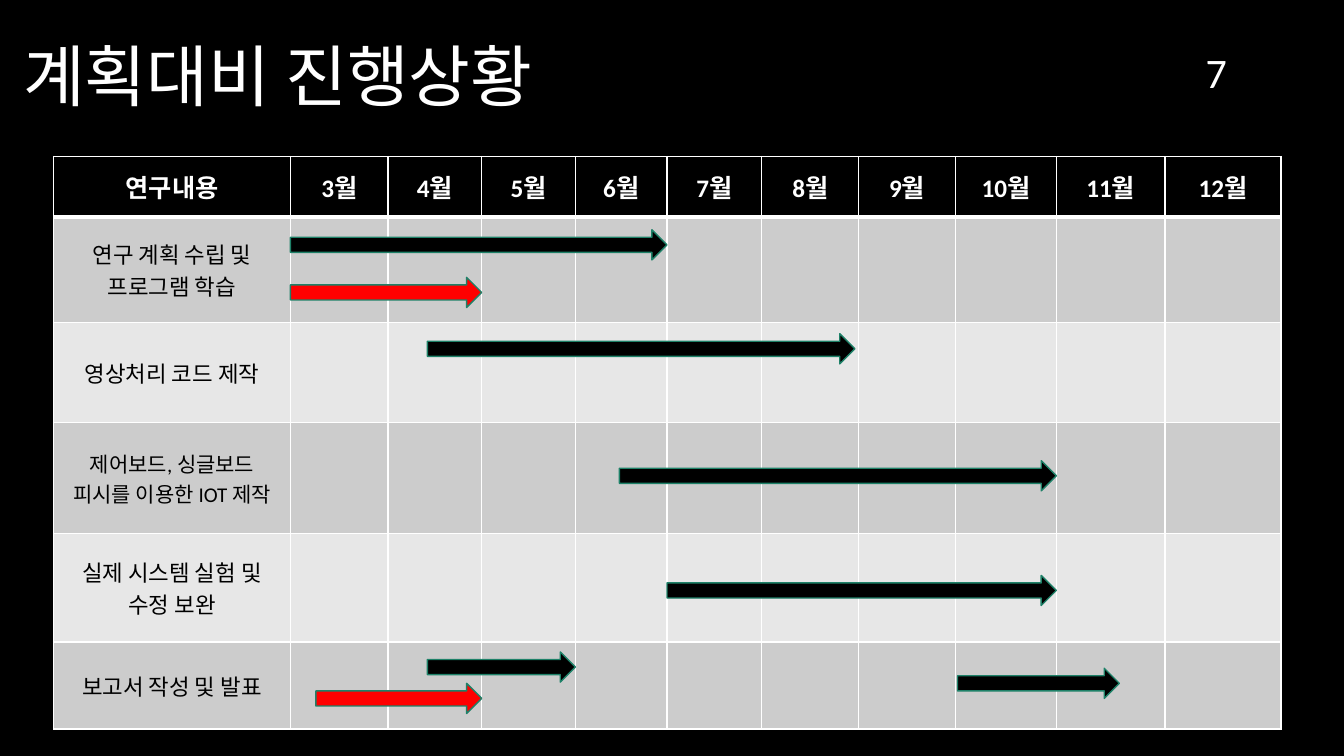
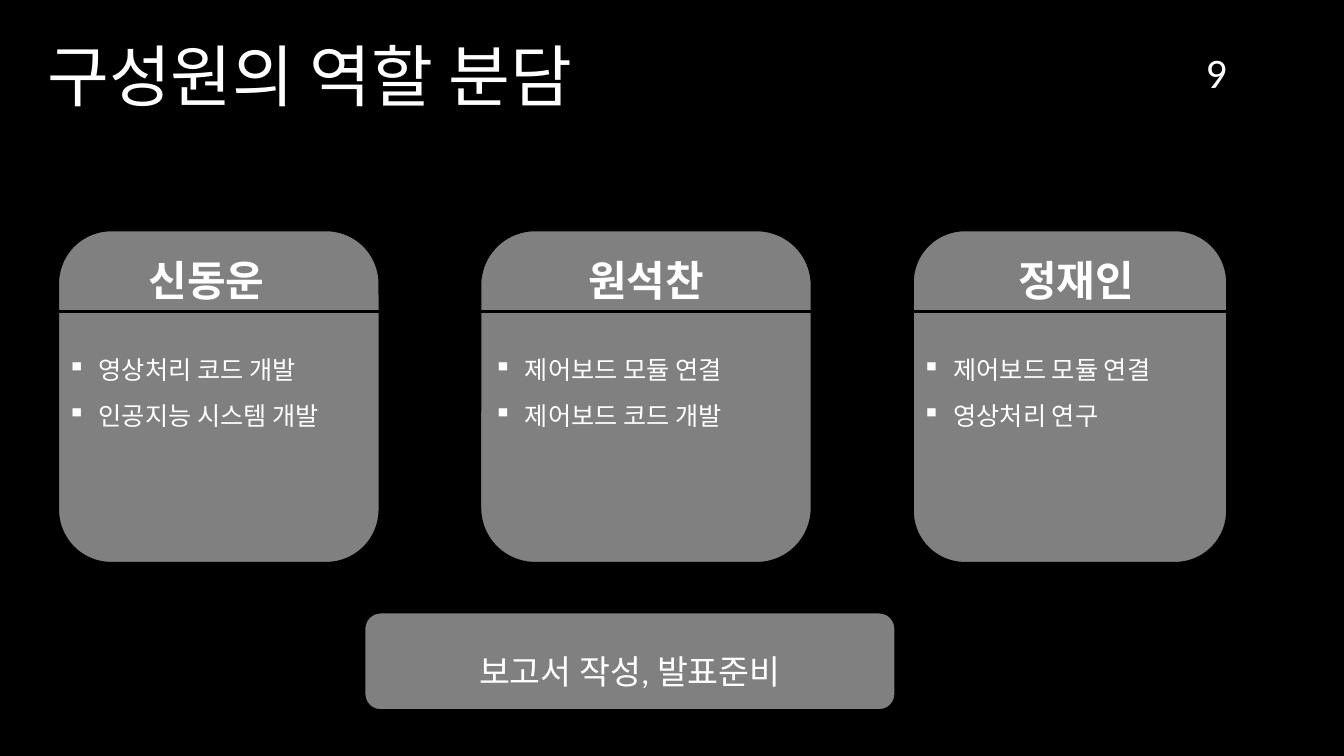
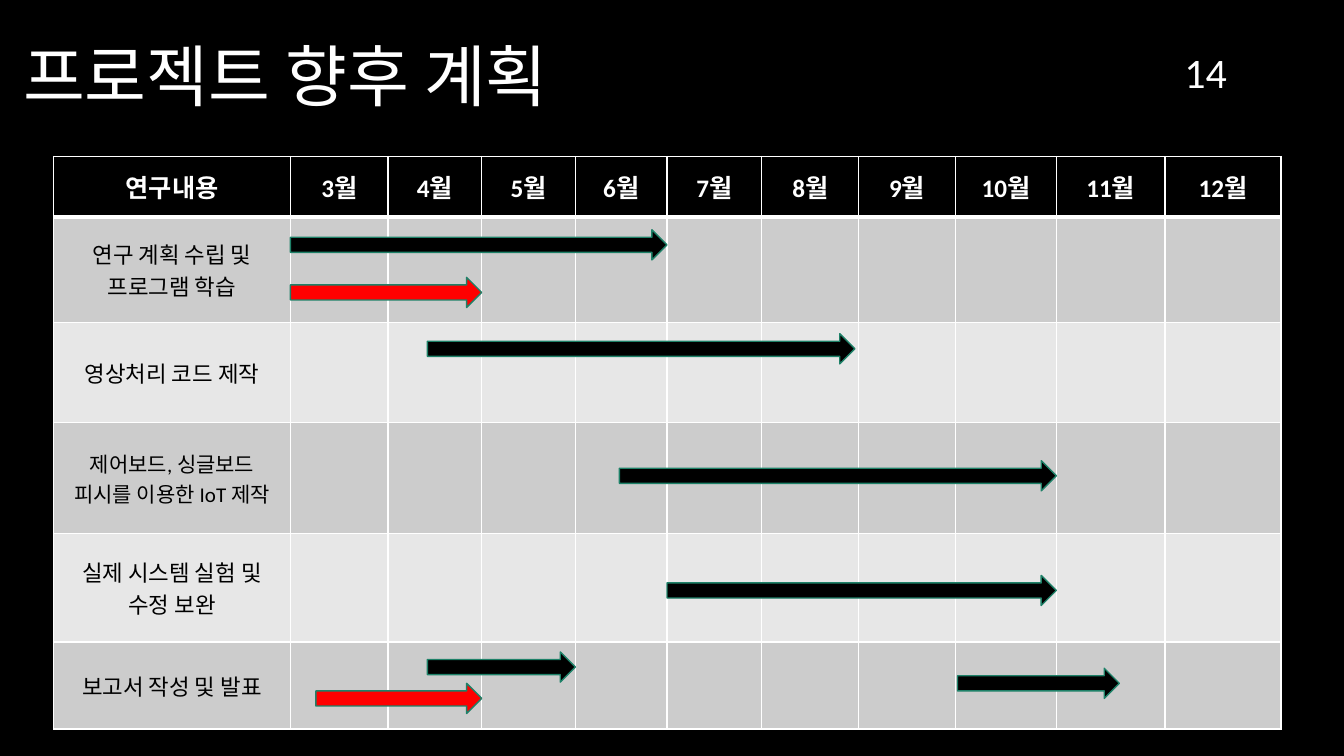
from dataclasses import dataclass
from itertools import accumulate

from lxml import etree
from pptx import Presentation
from pptx.dml.color import RGBColor
from pptx.enum import shapes, text
from pptx.oxml import ns
from pptx.util import Cm, Pt

FONT = "Calibri"
COLORS = {
    "black": "000000",
    "white": "FFFFFF",
    "card": "808080",
    "band_dark": "CCCCCC",
    "band_light": "E7E7E7",
    "done": "FF0000",
    "arrow_edge": "1E8168",
}

TABLE_LEFT, TABLE_TOP = 1.35, 3.94
COLUMN_WIDTHS = [5.97, 2.46, 2.36, 2.36, 2.31, 2.39, 2.44, 2.44, 2.54, 2.74, 2.92]
ROW_HEIGHTS = [1.53, 2.66, 2.52, 2.8, 2.73, 2.19]
COLUMN_EDGES = list(accumulate(COLUMN_WIDTHS, initial=TABLE_LEFT))
FIRST_MONTH, LAST_MONTH = 3, 12
ARROW_HEIGHT = 0.76

CARD_TOP, CARD_HEIGHT = 5.79, 8.41
DIVIDER_TOP = 7.84


@dataclass(frozen=True)
class Period:
    """A span in months, where 4.5 is the middle of April."""
    start: float
    end: float
    top: float
    color: str = "black"


@dataclass(frozen=True)
class Member:
    name: str
    duties: list[str]
    left: float
    width: float
    name_left: float
    duties_left: float


PERIODS = [
    Period(3, 7, 5.79),
    Period(3, 5, 6.99, "done"),
    Period(4.42, 8.96, 8.41),
    Period(6.48, 11, 11.61),
    Period(7, 11, 14.5),
    Period(4.42, 6, 16.43),
    Period(10.02, 11.58, 16.84),
    Period(3.26, 5, 17.22, "done"),
]

MEMBERS = [
    Member("신동운", ["영상처리 코드 개발", "인공지능 시스템 개발"], 1.45, 8.13, 3.35, 1.45),
    Member("원석찬", ["제어보드 모듈 연결", "제어보드 코드 개발"], 12.09, 8.38, 14.43, 12.19),
    Member("정재인", ["제어보드 모듈 연결", "영상처리 연구"], 22.99, 7.95, 25.27, 22.99),
]


def rgb(name: str) -> RGBColor:
    return RGBColor.from_string(COLORS[name])


def write(frame, lines: list[str], *, size: float, color: str = "white", bold: bool = False,
          align=text.PP_ALIGN.LEFT, anchor=text.MSO_ANCHOR.TOP, spacing: float = 1,
          bullet: str = "") -> None:
    """Fill a text frame with one paragraph per line."""
    frame.word_wrap = True
    frame.auto_size = text.MSO_AUTO_SIZE.NONE
    frame.vertical_anchor = anchor
    write_paragraphs(frame, lines, size=size, color=color, bold=bold, align=align,
                     spacing=spacing, bullet=bullet)


def write_paragraphs(frame, lines: list[str], *, size: float, color: str, bold: bool = False,
                     align=text.PP_ALIGN.CENTER, spacing: float = 1, bullet: str = "") -> None:
    for index, line in enumerate(lines):
        paragraph = frame.add_paragraph() if index else frame.paragraphs[0]
        paragraph.alignment = align
        paragraph.line_spacing = spacing
        run = paragraph.add_run()
        run.text = line
        run.font.name = FONT
        run.font.size = Pt(size)
        run.font.bold = bold
        run.font.color.rgb = rgb(color)
        if bullet:
            properties = paragraph._p.get_or_add_pPr()
            properties.set("marL", str(Cm(0.79)))
            properties.set("indent", str(-Cm(0.79)))
            etree.SubElement(properties, ns.qn("a:buChar"), char=bullet)


def add_text(slide, lines: list[str], left: float, top: float, width: float, height: float,
             **text_format) -> None:
    box = slide.shapes.add_textbox(Cm(left), Cm(top), Cm(width), Cm(height))
    write(box.text_frame, lines, **text_format)


def add_block(slide, kind, left: float, top: float, width: float, height: float, *,
              fill: str, line: str, line_width: float):
    shape = slide.shapes.add_shape(kind, Cm(left), Cm(top), Cm(width), Cm(height))
    shape.shadow.inherit = False
    shape.fill.solid()
    shape.fill.fore_color.rgb = rgb(fill)
    shape.line.color.rgb = rgb(line)
    shape.line.width = Pt(line_width)
    return shape


def add_card(slide, left: float, top: float, width: float, height: float):
    return add_block(slide, shapes.MSO_SHAPE.ROUNDED_RECTANGLE, left, top, width, height,
                     fill="card", line="black", line_width=2.25)


def add_divider(slide, left: float, top: float, width: float) -> None:
    connector = slide.shapes.add_connector(
        shapes.MSO_CONNECTOR.STRAIGHT, Cm(left), Cm(top), Cm(left + width), Cm(top))
    connector.line.color.rgb = rgb("black")
    connector.line.width = Pt(2.25)
    etree.SubElement(connector._element.spPr, ns.qn("a:effectLst"))


def add_titled_slide(presentation, title: str, number: int, title_left: float = 0.33):
    slide = presentation.slides.add_slide(presentation.slide_layouts[5])
    placeholder = slide.shapes.title
    placeholder.left, placeholder.top = Cm(title_left), Cm(0.7)
    placeholder.width, placeholder.height = Cm(29.21), Cm(2.6)
    write(placeholder.text_frame, [title], size=48, anchor=text.MSO_ANCHOR.MIDDLE, spacing=0.9)
    add_text(slide, [str(number)], 23.55, 1.3, 7.62, 1.02, size=30,
             align=text.PP_ALIGN.RIGHT, anchor=text.MSO_ANCHOR.MIDDLE)
    return slide


def set_borders(cell, top: float, bottom: float) -> None:
    """Draw white borders; the sides are always 1 point wide."""
    properties = cell._tc.get_or_add_tcPr()
    widths = {"a:lnL": 1, "a:lnR": 1, "a:lnT": top, "a:lnB": bottom}
    for position, (tag, width) in enumerate(widths.items()):
        border = etree.Element(ns.qn(tag), w=str(Pt(width)))
        fill = etree.SubElement(border, ns.qn("a:solidFill"))
        etree.SubElement(fill, ns.qn("a:srgbClr"), val=COLORS["white"])
        properties.insert(position, border)


def add_schedule_table(slide, build_task: str) -> None:
    tasks = [
        (["연구 계획 수립 및", "프로그램 학습"], 16),
        (["영상처리 코드 제작"], 16),
        ([build_task], 15),
        (["실제 시스템 실험 및 수정 보완"], 16),
        (["보고서 작성 및 발표"], 16),
    ]
    headers = ["연구내용"] + [f"{month}월" for month in range(FIRST_MONTH, LAST_MONTH + 1)]
    table = slide.shapes.add_table(
        len(ROW_HEIGHTS), len(COLUMN_WIDTHS), Cm(TABLE_LEFT), Cm(TABLE_TOP),
        Cm(sum(COLUMN_WIDTHS)), Cm(sum(ROW_HEIGHTS))).table
    for column, width in zip(table.columns, COLUMN_WIDTHS):
        column.width = Cm(width)
    for index, (row, height) in enumerate(zip(table.rows, ROW_HEIGHTS)):
        row.height = Cm(height)
        band = "black" if index == 0 else "band_dark" if index % 2 else "band_light"
        for cell in row.cells:
            cell.vertical_anchor = text.MSO_ANCHOR.MIDDLE
            cell.fill.solid()
            cell.fill.fore_color.rgb = rgb(band)
            set_borders(cell, top=3 if index == 1 else 1, bottom=3 if index == 0 else 1)
    for column, header in enumerate(headers):
        write_paragraphs(table.cell(0, column).text_frame, [header], size=18,
                         color="white", bold=True)
    for row, (lines, size) in enumerate(tasks, start=1):
        write_paragraphs(table.cell(row, 0).text_frame, lines, size=size, color="black")


def month_position(month: float) -> float:
    column = int(month) - FIRST_MONTH + 1
    return COLUMN_EDGES[column] + (month - int(month)) * COLUMN_WIDTHS[column]


def add_schedule_slide(presentation, title: str, number: int, build_task: str) -> None:
    slide = add_titled_slide(presentation, title, number)
    add_schedule_table(slide, build_task)
    for period in PERIODS:
        left = month_position(period.start)
        add_block(slide, shapes.MSO_SHAPE.RIGHT_ARROW, left, period.top,
                  month_position(period.end) - left, ARROW_HEIGHT,
                  fill=period.color, line="arrow_edge", line_width=1)


def add_roles_slide(presentation) -> None:
    slide = add_titled_slide(presentation, "구성원의 역할 분담", 9, title_left=0.94)
    for member in MEMBERS:
        add_card(slide, member.left, CARD_TOP, member.width, CARD_HEIGHT)
        add_divider(slide, member.left, DIVIDER_TOP, member.width)
        add_text(slide, [member.name], member.name_left, 6.3, 3.71, 1.54,
                 size=30, bold=True, align=text.PP_ALIGN.CENTER)
        add_text(slide, member.duties, member.duties_left, 8.43, member.width, 2.5,
                 size=18, spacing=1.5, bullet="▪")
    shared_work = add_card(slide, 9.17, 15.42, 13.41, 2.49)
    write(shared_work.text_frame, ["보고서 작성, 발표준비"], size=24, spacing=1.5,
          align=text.PP_ALIGN.CENTER, anchor=text.MSO_ANCHOR.MIDDLE)


def main() -> None:
    presentation = Presentation()
    presentation.slide_width, presentation.slide_height = Cm(33.87), Cm(19.05)
    background = presentation.slide_master.background.fill
    background.solid()
    background.fore_color.rgb = rgb("black")
    add_schedule_slide(presentation, "계획대비 진행상황", 7,
                       "제어보드, 싱글보드 피시를 이용한 IOT 제작")
    add_roles_slide(presentation)
    add_schedule_slide(presentation, "프로젝트 향후 계획", 14,
                       "제어보드, 싱글보드 피시를 이용한 IoT 제작")
    presentation.save("out.pptx")


if __name__ == "__main__":
    main()
